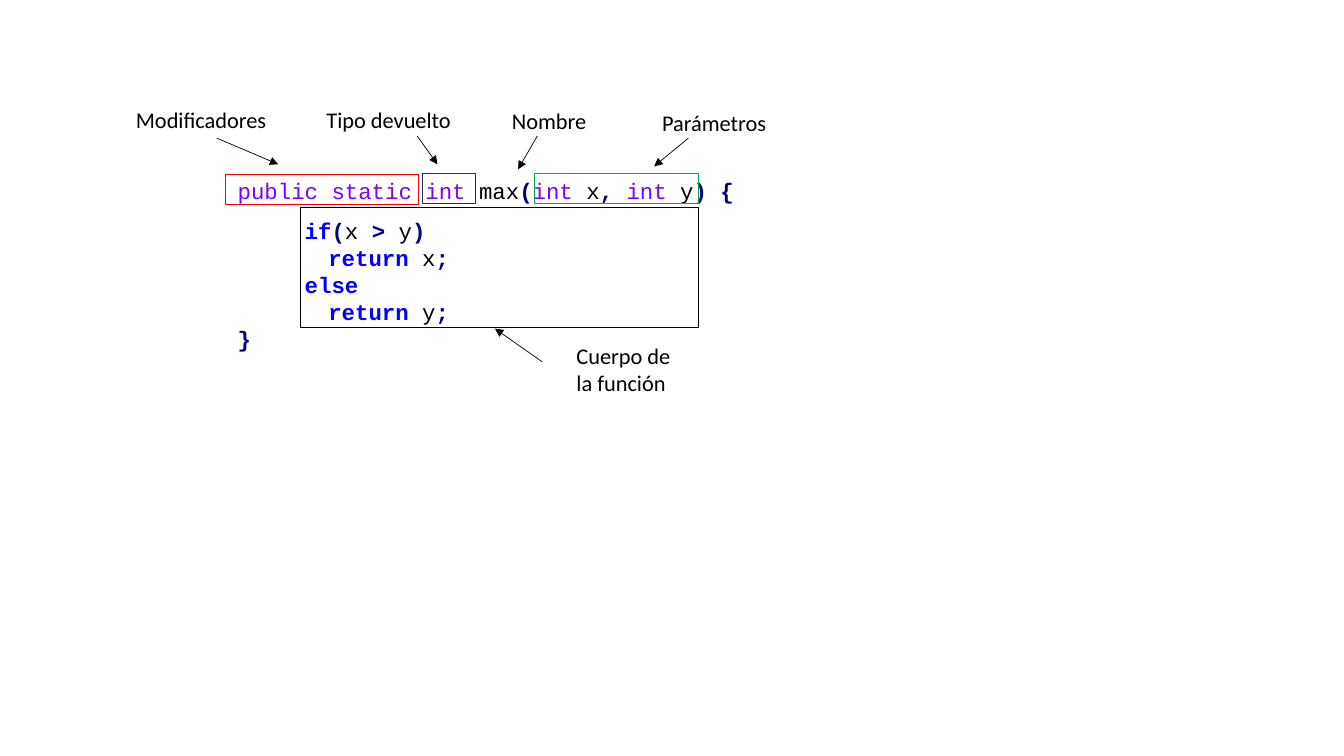
"""Build a slide that names the parts of a Java function."""
import pptx
import pptx.dml.color
import pptx.enum.shapes
import pptx.enum.text
import pptx.oxml
import pptx.oxml.ns
import pptx.util

Pt = pptx.util.Pt
RGB = pptx.dml.color.RGBColor
BLACK = RGB(0x00, 0x00, 0x00)
VIOLET = RGB(0x80, 0x00, 0xFF)
BLUE = RGB(0x00, 0x00, 0xFF)
DARK_BLUE = RGB(0x00, 0x00, 0x80)
RED = RGB(0xFF, 0x00, 0x00)
NAVY = RGB(0x1E, 0x32, 0x56)
GREEN = RGB(0x00, 0xB0, 0x50)

LABEL = {"name": "Calibri", "size": Pt(16), "bold": False}
CODE = {"name": "Courier New", "size": Pt(16), "bold": False}
BOLD_CODE = {**CODE, "bold": True}
STYLES = {
    "label": (LABEL, BLACK),
    "plain": (CODE, BLACK),
    "type": (CODE, VIOLET),
    "keyword": (BOLD_CODE, BLUE),
    "symbol": (BOLD_CODE, DARK_BLUE),
}

presentation = pptx.Presentation()
presentation.slide_width = Pt(960)
presentation.slide_height = Pt(540)
slide = presentation.slides.add_slide(presentation.slide_layouts[6])


def add_text(left, top, width, height, lines):
    """Add a text box whose lines are lists of (text, style) pieces."""
    frame = slide.shapes.add_textbox(Pt(left), Pt(top), Pt(width), Pt(height)).text_frame
    frame.word_wrap = True
    frame.auto_size = pptx.enum.text.MSO_AUTO_SIZE.SHAPE_TO_FIT_TEXT
    for number, pieces in enumerate(lines):
        paragraph = frame.add_paragraph() if number else frame.paragraphs[0]
        for text, style in pieces:
            run = paragraph.add_run()
            run.text = text
            values, color = STYLES[style]
            for attribute, value in values.items():
                setattr(run.font, attribute, value)
            run.font.color.rgb = color
    return frame


signature = [
    ("public", "type"), (" ", "plain"), ("static", "type"), (" ", "plain"),
    ("int", "type"), (" max", "plain"), ("(", "symbol"),
    ("int", "type"), (" x", "plain"), (",", "symbol"), (" ", "plain"),
    ("int", "type"), (" y", "plain"), (")", "symbol"), (" ", "plain"), ("{", "symbol"),
]
condition = [
    ("     ", "plain"), ("if", "keyword"), ("(", "symbol"), ("x ", "plain"),
    (">", "symbol"), (" y", "plain"), (")", "symbol"),
]
return_x, return_y = (
    [("\t   ", "plain"), ("return", "keyword"), (f" {result}", "plain"), (";", "symbol")]
    for result in "xy"
)
alternative = [("     ", "plain"), ("else", "keyword")]
function_code = add_text(
    162.72, 123.12, 542, 133.2,
    [signature, condition, return_x, alternative, return_y, [("}", "symbol")]],
)
function_code.paragraphs[1].line_spacing = 1.5

frames = [
    (161.28, 124.56, 137.5, 21.6, RED),
    (301.68, 123.84, 38.16, 21.6, NAVY),
    (381.6, 123.84, 117.36, 21.6, GREEN),
    (214.56, 148.32, 284.4, 85.68, BLACK),
]
for left, top, width, height, color in frames:
    part = slide.shapes.add_shape(
        pptx.enum.shapes.MSO_SHAPE.RECTANGLE, Pt(left), Pt(top), Pt(width), Pt(height)
    )
    part.shadow.inherit = False
    part.fill.background()
    part.line.color.rgb = color
    part.line.width = Pt(1)

callouts = [
    (["Modificadores"], 90, 72, (154.8, 98.64, 198.72, 117.36)),
    (["Tipo devuelto"], 226.08, 72, (298.08, 97.2, 312.48, 117.36)),
    (["Parámetros"], 465.84, 74.16, (491.76, 98.64, 467.28, 118.8)),
    (["Cuerpo de", "la función"], 404.64, 241.2, (387.36, 258.48, 353.52, 234.72)),
    (["Nombre"], 358.56, 72.72, (383.76, 97.2, 370.08, 120.96)),
]
for lines, left, top, ends in callouts:
    add_text(left, top, 109.44, 7.2 + 19.5 * len(lines), [[(line, "label")] for line in lines])
    arrow = slide.shapes.add_connector(
        pptx.enum.shapes.MSO_CONNECTOR.STRAIGHT, *[Pt(value) for value in ends]
    )
    arrow.line.color.rgb = BLACK
    arrow.line.width = Pt(0.5)
    properties = arrow._element.spPr
    arrowhead = pptx.oxml.parse_xml(f'<a:tailEnd {pptx.oxml.ns.nsdecls("a")} type="triangle"/>')
    properties.find(pptx.oxml.ns.qn("a:ln")).append(arrowhead)
    properties.append(pptx.oxml.parse_xml(f'<a:effectLst {pptx.oxml.ns.nsdecls("a")}/>'))

presentation.save("out.pptx")
